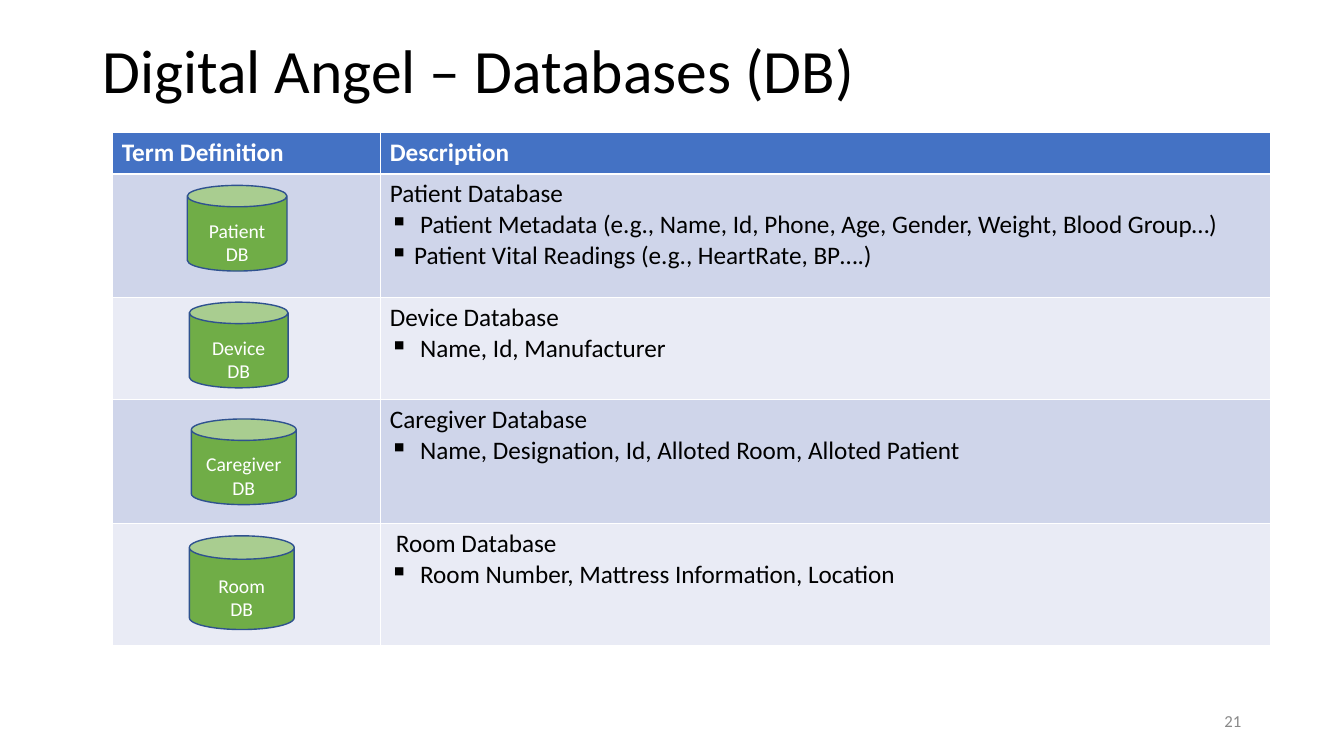
from lxml.etree import SubElement
from pptx import Presentation
from pptx.dml.color import RGBColor
from pptx.enum.shapes import MSO_SHAPE as Shape
from pptx.enum.text import MSO_ANCHOR as Anchor, PP_ALIGN as Align
from pptx.oxml.ns import qn
from pptx.util import Inches, Pt

THEME = {
    "font": "Calibri",
    "title": (44, "000000"),
    "header": (18, "FFFFFF"),
    "body": (18, "000000"),
    "can": (14, "FFFFFF"),
    "number": (12, "898989"),
    "header fill": "4472C4",
    "row fills": ("CFD5EA", "E9EBF5"),
    "can fill": "70AD47",
    "can line": "2F528F",
    "border": "FFFFFF",
}
THIN, THICK = 0.45, 1.47
BULLET_GAP, WIDE_GAP, NUDGE = 0.24, 0.3, 0.06

deck = Presentation()
deck.slide_width, deck.slide_height = Inches(13.34), Inches(7.5)
page = deck.slides.add_slide(deck.slide_layouts[6])


def share(left, top, width, height):
    """Turn percentages of the slide's width and height into lengths."""
    sizes = (deck.slide_width, deck.slide_height) * 2
    return [int(size * part / 100) for size, part in zip(sizes, (left, top, width, height))]


def style_text(frame, kind, align=Align.LEFT, bold=False):
    size, color = THEME[kind]
    frame.word_wrap = True
    for para in frame.paragraphs:
        para.alignment = align
        for span in para.runs:
            span.font.name = THEME["font"]
            span.font.size = Pt(size)
            span.font.bold = bold
            span.font.color.rgb = RGBColor.from_string(color)


# Title and page number
for words, kind, align, place in [
    ("Digital Angel – Databases (DB)", "title", Align.LEFT, (6.9, 5.33, 86.2, 8.8)),
    ("21", "number", Align.RIGHT, (70.61, 92.67, 22.49, 5.33)),
]:
    box = page.shapes.add_textbox(*share(*place))
    box.text_frame.text = words
    box.text_frame.vertical_anchor = Anchor.MIDDLE
    box.text_frame.paragraphs[0].line_spacing = 0.9 if kind == "title" else 1
    style_text(box.text_frame, kind, align)

# Table: heading, heading indent, bullets with the gap before their text
descriptions = [
    ("Patient Database", 0, [
        ("Patient Metadata (e.g., Name, Id, Phone, Age, Gender, Weight, Blood Group…)", WIDE_GAP),
        ("Patient Vital Readings (e.g., HeartRate, BP….)", BULLET_GAP),
    ]),
    ("Device Database", 0, [("Name, Id, Manufacturer", WIDE_GAP)]),
    ("Caregiver Database", 0, [
        ("Name, Designation, Id, Alloted Room, Alloted Patient", WIDE_GAP),
    ]),
    ("Room Database", NUDGE, [("Room Number, Mattress Information, Location", WIDE_GAP)]),
]
column_shares = (19.94, 66.27)
row_shares = (5.47, 16.4, 13.47, 16.4, 16.13)
table = page.shapes.add_table(
    len(row_shares), len(column_shares),
    *share(8.32, 17.5, sum(column_shares), sum(row_shares)),
).table
for column, part in zip(table.columns, column_shares):
    column.width = int(deck.slide_width * part / 100)
for row, part in zip(table.rows, row_shares):
    row.height = int(deck.slide_height * part / 100)

for row_index, row in enumerate(table.rows):
    for cell in row.cells:
        for side in "LRTB":
            header_edge = (row_index, side) in [(0, "B"), (1, "T")]
            width = Pt(THICK if header_edge else THIN)
            border = SubElement(cell._tc.get_or_add_tcPr(), qn(f"a:ln{side}"), w=str(width))
            SubElement(SubElement(border, qn("a:solidFill")), qn("a:srgbClr"), val=THEME["border"])
        fill = THEME["row fills"][(row_index - 1) % 2] if row_index else THEME["header fill"]
        cell.fill.solid()
        cell.fill.fore_color.rgb = RGBColor.from_string(fill)

for cell, words in zip(table.rows[0].cells, ("Term Definition", "Description")):
    cell.text_frame.text = words
    style_text(cell.text_frame, "header", bold=True)

for row_index, (heading, indent, bullets) in enumerate(descriptions, start=1):
    frame = table.cell(row_index, 1).text_frame
    frame.text = "\n".join([heading] + [words for words, gap in bullets])
    heading_para, *bullet_paras = frame.paragraphs
    heading_para._p.get_or_add_pPr().set("marL", str(Inches(indent)))
    for para, (words, gap) in zip(bullet_paras, bullets):
        properties = para._p.get_or_add_pPr()
        properties.set("marL", str(Inches(gap)))
        properties.set("indent", str(-Inches(gap)))
        SubElement(properties, qn("a:buChar"), char="▪")
    style_text(frame, "body")

# Database cans, evenly spaced down the first column
cans = [
    ("Patient DB", 13.94, 7.42, 11.33),
    ("Device DB", 14.09, 7.35, 11.33),
    ("Caregiver\nDB", 14.24, 7.8, 11.33),
    ("Room\nDB", 14.09, 7.8, 12.4),
]
first_top, step = 24.53, 15.45
for index, (words, left, width, height) in enumerate(cans):
    can = page.shapes.add_shape(Shape.CAN, *share(left, first_top + index * step, width, height))
    can.shadow.inherit = False
    can.fill.solid()
    can.fill.fore_color.rgb = RGBColor.from_string(THEME["can fill"])
    can.line.color.rgb = RGBColor.from_string(THEME["can line"])
    can.line.width = Pt(1)
    frame = can.text_frame
    frame.text = words
    frame.vertical_anchor = Anchor.MIDDLE
    frame.margin_top, frame.margin_bottom = Inches(0.17), 0
    style_text(frame, "can", Align.CENTER)

deck.save("out.pptx")
